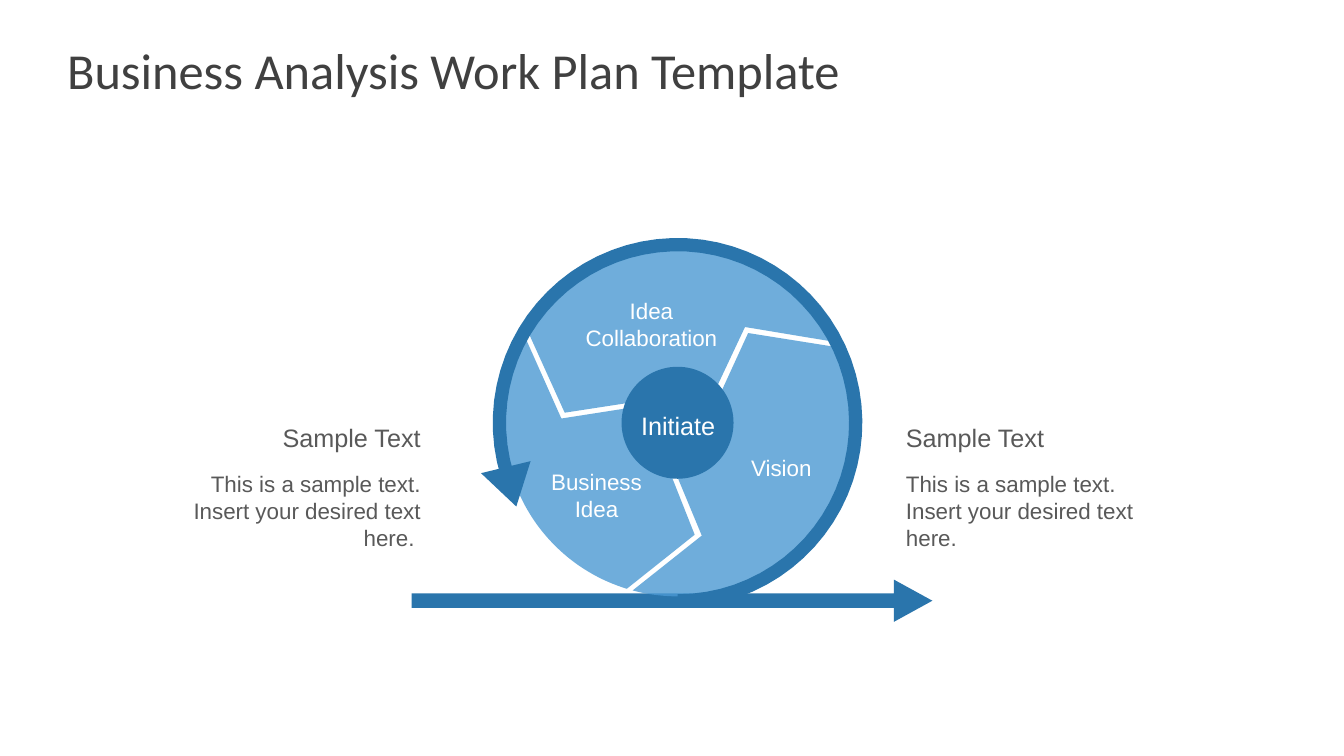
from math import cos, radians, sin

from lxml import etree
from pptx import Presentation
from pptx.dml.color import RGBColor
from pptx.enum.shapes import MSO_SHAPE
from pptx.enum.text import MSO_ANCHOR, PP_ALIGN
from pptx.oxml.ns import qn
from pptx.util import Pt

DARK_BLUE = RGBColor(0x2A, 0x75, 0xAC)
LIGHT_BLUE = RGBColor(0x4B, 0x99, 0xD3)
WHITE = RGBColor(0xFF, 0xFF, 0xFF)
TITLE_GRAY = RGBColor(0x40, 0x40, 0x40)
TEXT_GRAY = RGBColor(0x59, 0x59, 0x59)

LEFT, CENTER, RIGHT = PP_ALIGN.LEFT, PP_ALIGN.CENTER, PP_ALIGN.RIGHT
MIDDLE, TOP = MSO_ANCHOR.MIDDLE, MSO_ANCHOR.TOP
ELLIPSE, RIGHT_ARROW = MSO_SHAPE.OVAL, MSO_SHAPE.RIGHT_ARROW

# Sizes in points, angles in degrees clockwise from the right
RING_WIDTH = 9.5
SECTOR_RADIUS = 124
SECTOR_INNER_RADIUS = 39
HUB_RADIUS = 40

# Outer arc, notch at its end, inner arc, notch at its start
SECTORS = [
    ((107, 209), (-83, -3), (195, 96), (12.2, 80)),  # Business Idea
    ((211, 332), (48.2, -68.4), (-43, -159), (-80.6, -7.2)),  # Idea Collaboration
    ((-26, 105), (17.3, 80.6), (90, -36), (50.4, -64.1)),  # Vision
]
RING_ARROWHEAD = [(-105, 27.4), (-115.2, 59.8), (-140.4, 36)]

# Text lines, size and box relative to the wheel centre
WHEEL_LABELS = [
    (["Idea Collaboration"], 16, (-86.4, -93, 135.4, 45.4)),
    (["Initiate"], 18, (-33.8, -12.2, 68.4, 28.8)),
    (["Vision"], 16, (40.3, 18.7, 67.7, 26.6)),
    (["Business", "Idea"], 16, (-123.8, 29, 131.8, 45.4)),
]


def paint(shape, color):
    shape.shadow.inherit = False
    shape.fill.solid()
    shape.fill.fore_color.rgb = color
    shape.line.fill.background()


def add_text(slide, box, lines, size, color, font="Arial", align=LEFT, anchor=TOP):
    text_box = slide.shapes.add_textbox(*map(Pt, box))
    frame = text_box.text_frame
    frame.word_wrap = True
    frame.vertical_anchor = anchor
    frame.text = "\n".join(lines)
    for paragraph in frame.paragraphs:
        paragraph.alignment = align
        paragraph.font.name = font
        paragraph.font.size = Pt(size)
        paragraph.font.color.rgb = color
    return frame


def arc(radius, start, end, steps=60):
    angles = [radians(start + (end - start) * i / steps) for i in range(steps + 1)]
    return [(radius * cos(angle), radius * sin(angle)) for angle in angles]


def add_outline(slide, center, offsets, color):
    points = [(Pt(center[0] + x), Pt(center[1] + y)) for x, y in offsets]
    builder = slide.shapes.build_freeform(*points[0], scale=1.0)
    builder.add_line_segments(points[1:], close=True)
    shape = builder.convert_to_shape()
    paint(shape, color)
    return shape


def set_opacity(shape, percent):
    color = shape.fill._xPr.find(qn("a:solidFill"))[0]
    etree.SubElement(color, qn("a:alpha"), val=str(percent * 1000))


def add_title(slide, box):
    frame = add_text(slide, box, ["Business Analysis Work Plan Template"], 36,
                     TITLE_GRAY, "Calibri", anchor=MIDDLE)
    frame.margin_left = frame.margin_right = 0
    frame.margin_top = frame.margin_bottom = Pt(5)


def add_base_arrow(slide, box):
    arrow = slide.shapes.add_shape(RIGHT_ARROW, *map(Pt, box))
    arrow.adjustments[0] = 0.342
    arrow.adjustments[1] = 0.911
    paint(arrow, DARK_BLUE)


def add_wheel(slide, box):
    left, top, width, height = box
    center = center_x, center_y = left + width / 2, top + height / 2
    radius = width / 2

    # Sectors
    for outer, end_notch, inner, start_notch in SECTORS:
        offsets = [*arc(SECTOR_RADIUS, *outer), end_notch,
                   *arc(SECTOR_INNER_RADIUS, *inner), start_notch]
        set_opacity(add_outline(slide, center, offsets, LIGHT_BLUE), 80)

    # Ring with its arrowhead
    ring = arc(radius, 90, -197) + arc(radius - RING_WIDTH, -197, 90)
    add_outline(slide, center, ring, DARK_BLUE)
    add_outline(slide, center, RING_ARROWHEAD, DARK_BLUE)

    # Hub
    hub = slide.shapes.add_shape(ELLIPSE, Pt(center_x - HUB_RADIUS), Pt(center_y - HUB_RADIUS),
                                 Pt(2 * HUB_RADIUS), Pt(2 * HUB_RADIUS))
    paint(hub, DARK_BLUE)

    # Labels
    for lines, size, (x, y, label_width, label_height) in WHEEL_LABELS:
        label_box = (center_x + x, center_y + y, label_width, label_height)
        frame = add_text(slide, label_box, lines, size, WHITE, align=CENTER)
        frame.word_wrap = lines != ["Initiate"]


def add_caption(slide, box, body, align):
    left, top, width, height = box
    add_text(slide, (left, top, width, 29), ["Sample Text"], 18, TEXT_GRAY, align=align)
    add_text(slide, (left, top + 34.6, width, height - 34.6), [body], 16, TEXT_GRAY, align=align)


def main():
    presentation = Presentation()
    presentation.slide_width = Pt(960)
    presentation.slide_height = Pt(540)
    slide = presentation.slides.add_slide(presentation.slide_layouts[6])

    add_title(slide, (48, 21.6, 864, 56))
    add_base_arrow(slide, (294, 414, 372, 30.2))
    add_wheel(slide, (352, 170, 264, 264))
    body = "This is a sample text. Insert your desired text here."
    add_caption(slide, (124, 298, 183.6, 100), body + " ", RIGHT)
    add_caption(slide, (640, 298, 195, 100), body, LEFT)

    presentation.save("out.pptx")


if __name__ == "__main__":
    main()
